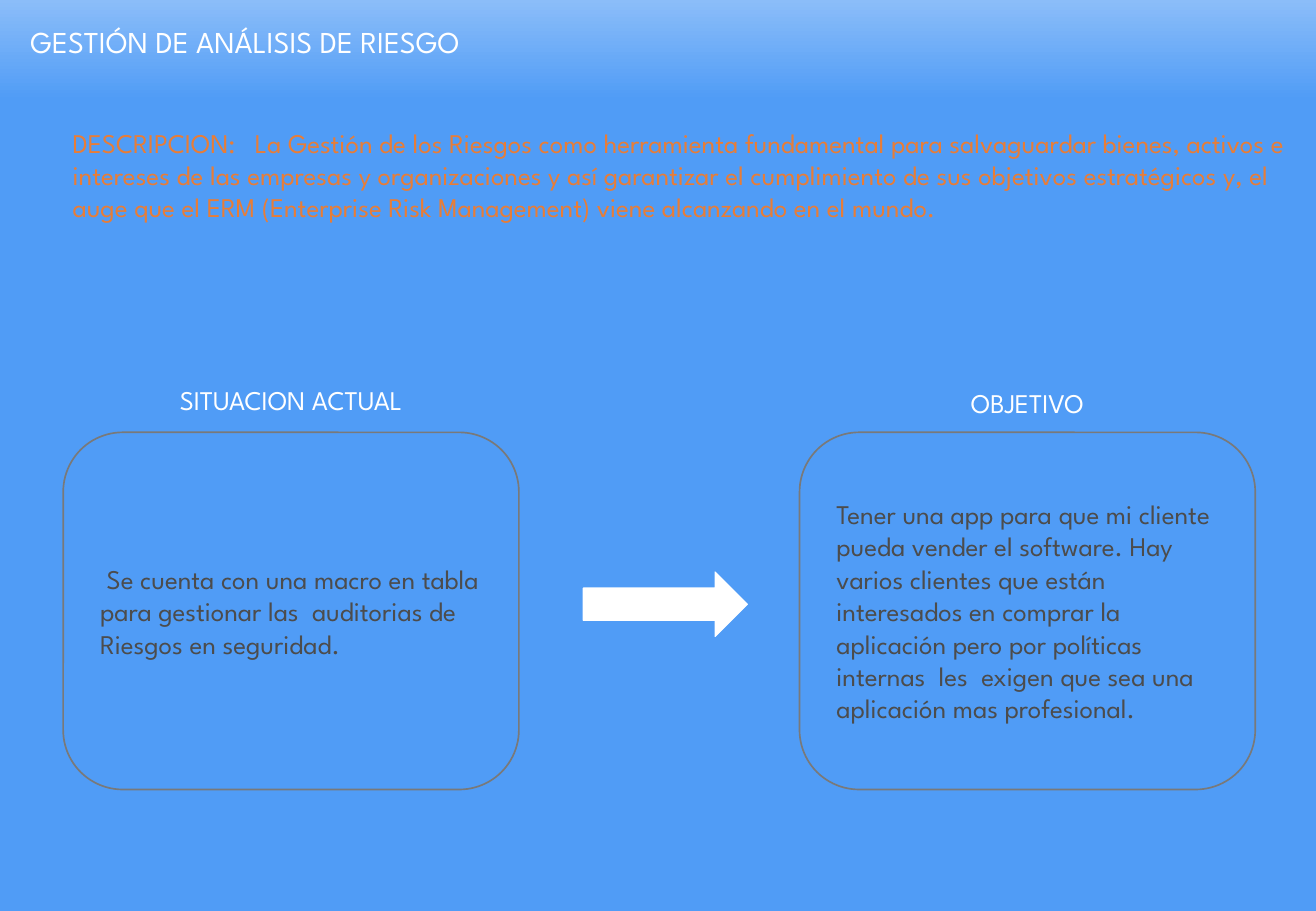
from lxml import etree
from pptx import Presentation
from pptx import util as u
from pptx.dml.color import RGBColor
from pptx.enum import shapes, text
from pptx.oxml.ns import qn

FONT = "League Spartan"
SKY = RGBColor(0x8B, 0xBD, 0xF9)
BLUE = RGBColor(0x50, 0x9C, 0xF6)
ORANGE = RGBColor(0xE8, 0x7D, 0x37)
OUTLINE = RGBColor(0x79, 0x79, 0x79)
DARK = RGBColor(0x4C, 0x4C, 0x4C)
WHITE = RGBColor(0xFF, 0xFF, 0xFF)

LEFT = text.PP_ALIGN.LEFT
CENTER = text.PP_ALIGN.CENTER
TOP = text.MSO_ANCHOR.TOP
MIDDLE = text.MSO_ANCHOR.MIDDLE
BOTTOM = text.MSO_ANCHOR.BOTTOM

TITLE = "GESTIÓN DE ANÁLISIS DE RIESGO"
DESCRIPTION = (
    "DESCRIPCION:\tLa Gestión de los Riesgos como herramienta fundamental para "
    "salvaguardar bienes, activos e intereses de las empresas y organizaciones y así "
    "garantizar el cumplimiento de sus objetivos estratégicos y, el auge que el ERM "
    "(Enterprise Risk Management) viene alcanzando en el mundo."
)
SITUATION = (
    " Se cuenta con una macro en tabla para gestionar las  auditorias de "
    "Riesgos en seguridad."
)
GOAL = (
    "Tener una app para que mi cliente pueda vender el software. Hay varios clientes "
    "que están interesados en comprar la aplicación pero por políticas internas  les  "
    "exigen que sea una aplicación mas profesional."
)


def set_values(target, values):
    """Set each named attribute of the target."""
    for name, value in values.items():
        setattr(target, name, value)


def write(shape, words, color, size=16, align=LEFT, anchor=TOP, before=3, inset=0.1):
    """Write one formatted paragraph into a shape and return it."""
    frame = shape.text_frame
    set_values(frame, {
        "word_wrap": True, "auto_size": text.MSO_AUTO_SIZE.NONE,
        "vertical_anchor": anchor,
        "margin_left": u.Inches(inset), "margin_right": u.Inches(0.1),
        "margin_top": u.Inches(0.05), "margin_bottom": u.Inches(0.05),
    })
    para = frame.paragraphs[0]
    set_values(para, {"alignment": align, "space_before": u.Pt(before)})
    span = para.add_run()
    span.text = words
    set_values(span.font, {"name": FONT, "size": u.Pt(size)})
    span.font.color.rgb = color
    return para


def paint_background(page):
    """Fill the page with a gradient that darkens below the title."""
    fill = page.background.fill
    fill.gradient()
    fill.gradient_angle = 270
    for stop, color, position in zip(fill.gradient_stops, (SKY, BLUE), (0, 0.11)):
        stop.color.rgb = color
        stop.position = position


def add_title(page, box):
    """Place the page title in the given box."""
    title = page.shapes.title
    for name, value in zip(("left", "top", "width", "height"), box):
        setattr(title, name, u.Inches(value))
    write(title, TITLE, WHITE, size=18, anchor=BOTTOM, before=0)


def add_description(page, box):
    """Place the description, with a tab stop after its label."""
    area = page.shapes.add_textbox(*map(u.Inches, box))
    para = write(area, DESCRIPTION, ORANGE)
    stops = etree.SubElement(para._p.get_or_add_pPr(), qn("a:tabLst"))
    etree.SubElement(stops, qn("a:tab"), pos=str(u.Inches(1.5)), algn="l")


def add_card(page, box, heading, words, gap):
    """Place a rounded card in the box with its heading above it."""
    left, top, width, height = box
    label = page.shapes.add_textbox(
        *map(u.Inches, (left, top - gap, width, 0.37)))
    write(label, heading, WHITE, align=CENTER)
    card = page.shapes.add_shape(
        shapes.MSO_SHAPE.ROUNDED_RECTANGLE, *map(u.Inches, box))
    card.shadow.inherit = False
    card.fill.background()
    card.line.color.rgb = OUTLINE
    card.line.width = u.Pt(1)
    write(card, words, DARK, anchor=MIDDLE, inset=0.16)


def add_arrow(page, box):
    """Place the white arrow that leads from situation to goal."""
    arrow = page.shapes.add_shape(
        shapes.MSO_SHAPE.RIGHT_ARROW, *map(u.Inches, box))
    arrow.shadow.inherit = False
    arrow.fill.solid()
    arrow.fill.fore_color.rgb = WHITE
    arrow.line.color.rgb = WHITE
    arrow.line.width = u.Pt(0.75)


def build():
    """Build the risk analysis slide and save the deck."""
    deck = Presentation()
    set_values(deck, {"slide_width": u.Inches(10.83), "slide_height": u.Inches(7.5)})
    page = deck.slides.add_slide(deck.slide_layouts.get_by_name("Title Only"))
    paint_background(page)
    add_title(page, (0.15, 0.17, 7.64, 0.37))
    add_description(page, (0.5, 0.99, 10.2, 1.87))
    add_card(page, (0.52, 3.56, 3.75, 2.94), "SITUACION ACTUAL", SITUATION, 0.45)
    add_card(page, (6.58, 3.56, 3.75, 2.94), "OBJETIVO", GOAL, 0.43)
    add_arrow(page, (4.8, 4.71, 1.35, 0.53))
    deck.save("out.pptx")


build()
